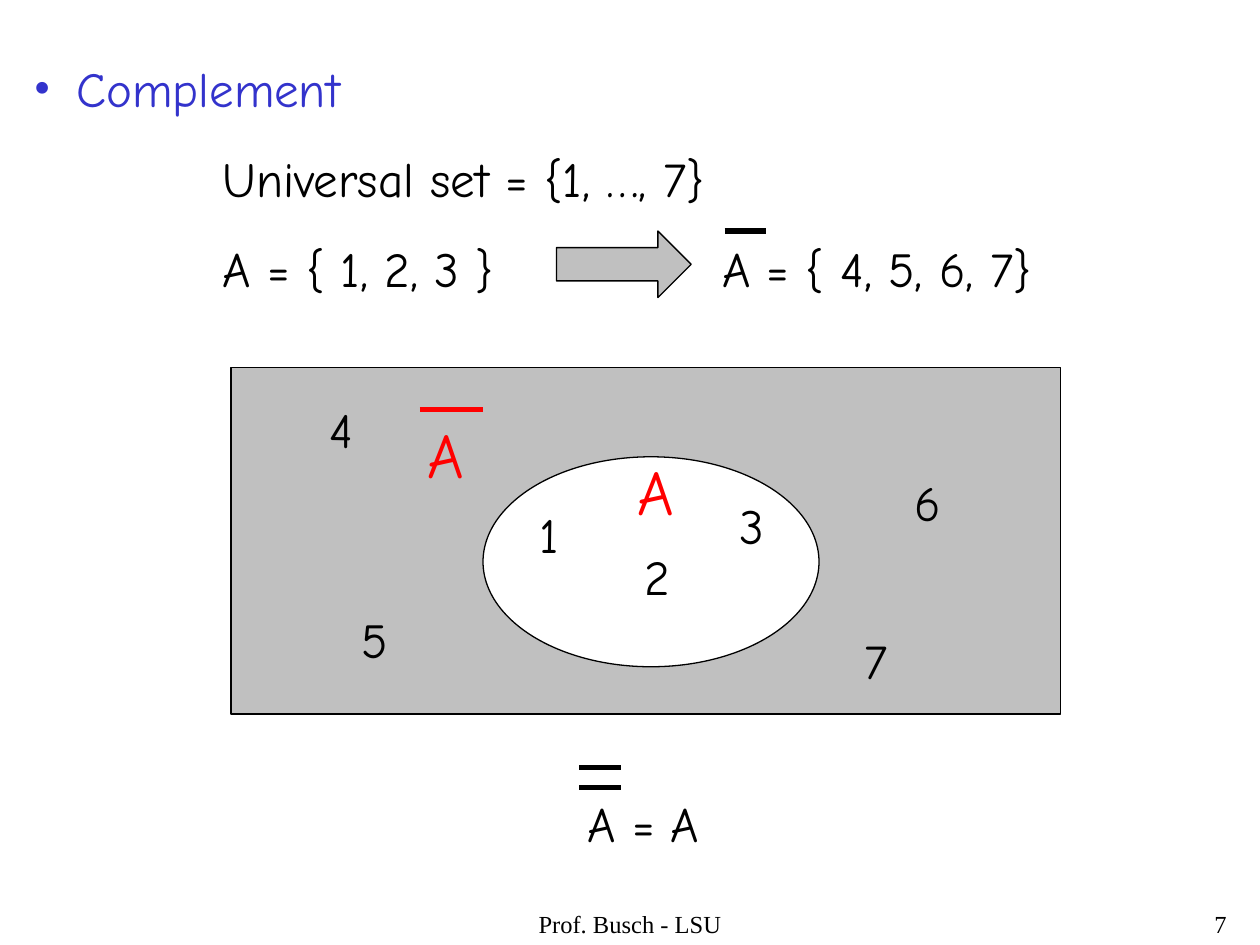
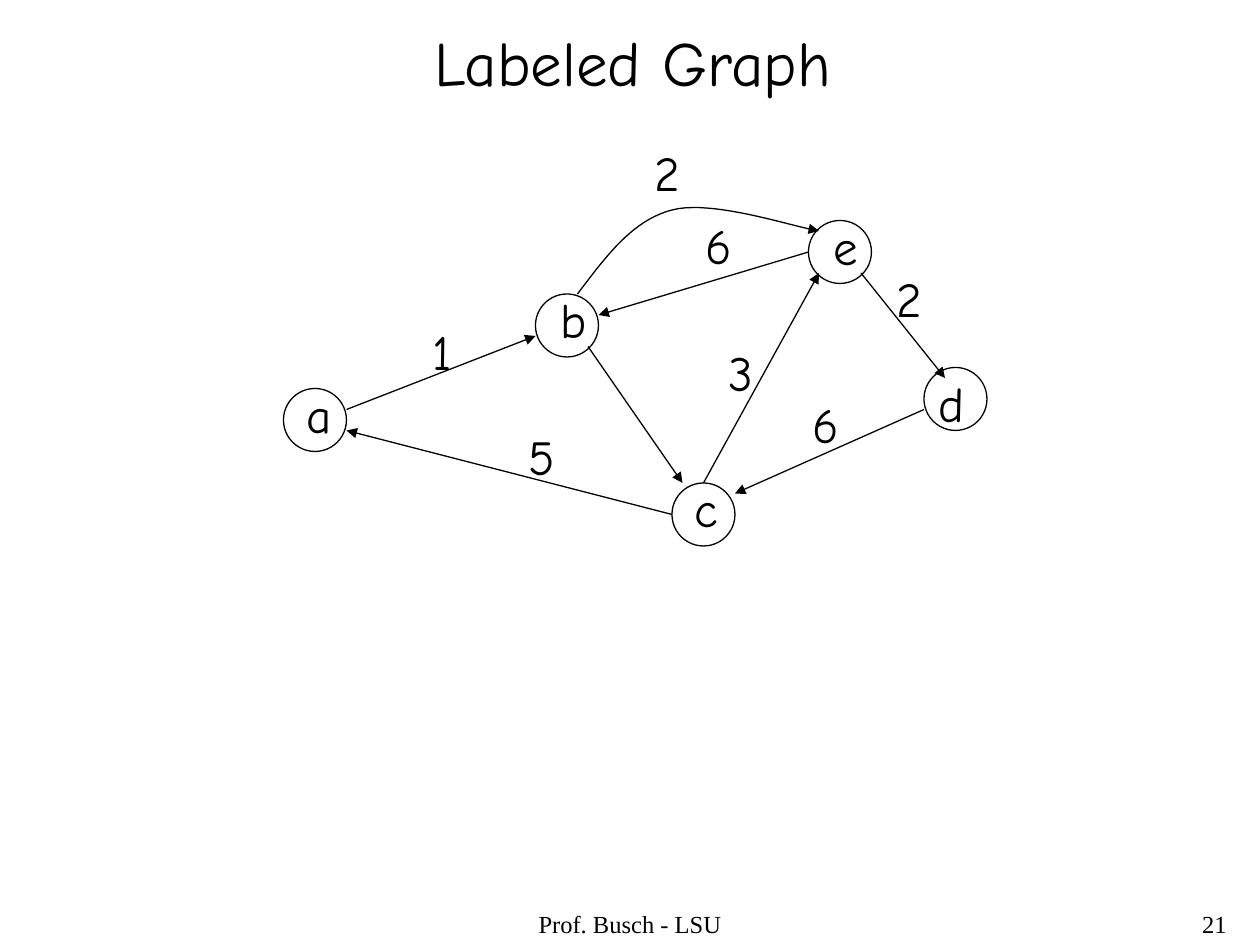
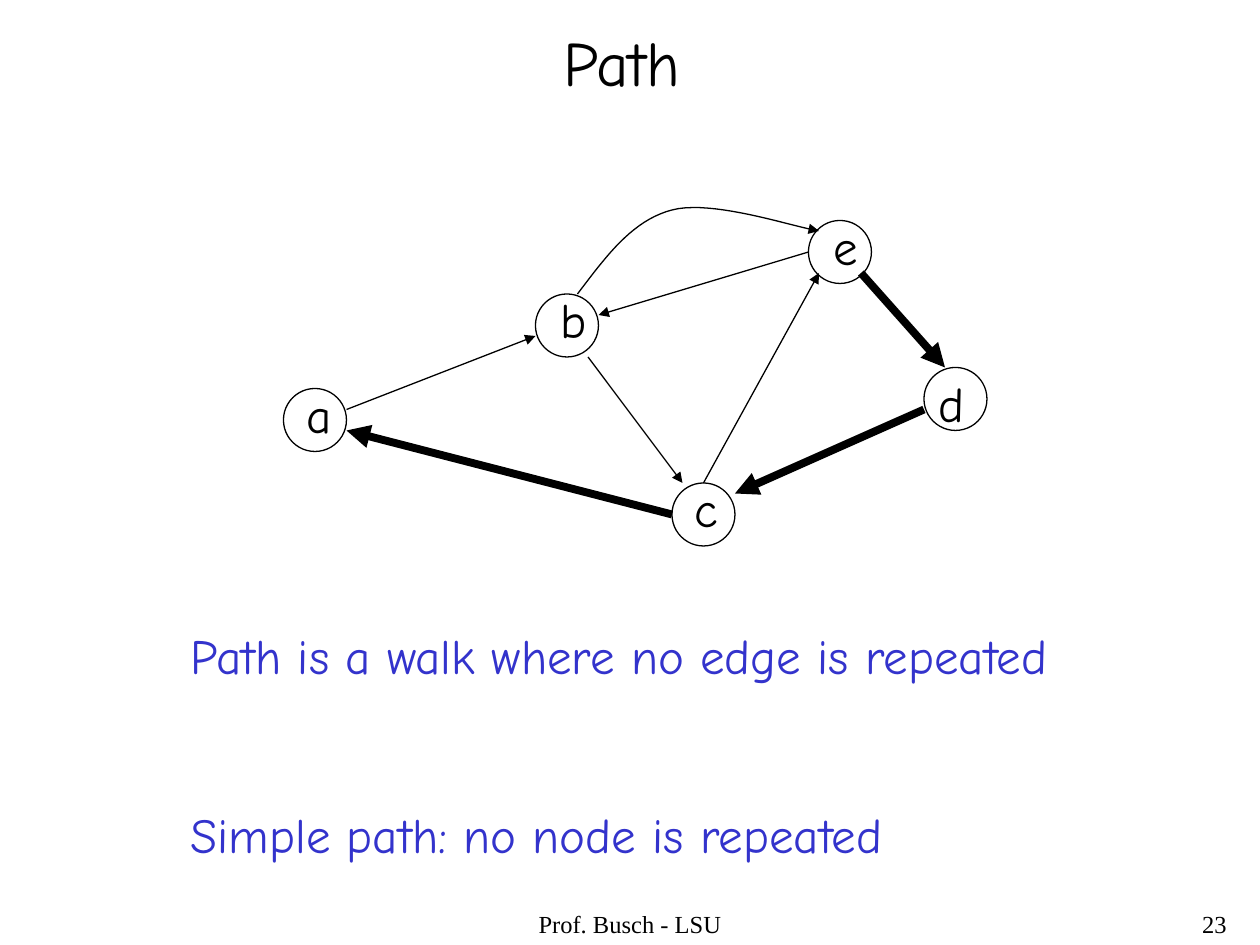
from lxml.etree import SubElement
from pptx import Presentation
from pptx.dml.color import RGBColor
from pptx.enum.shapes import MSO_CONNECTOR, MSO_SHAPE
from pptx.enum.text import MSO_ANCHOR, MSO_AUTO_SIZE, PP_ALIGN
from pptx.oxml.ns import qn
from pptx.util import Pt

BLACK, WHITE, GREY, RED, BLUE = "000000", "FFFFFF", "C0C0C0", "FF0000", "3333CC"
HAND, SERIF = "Comic Neue", "Times New Roman"
BODY_SIZE, LARGE_SIZE, FOOTER_SIZE = 28, 36, 14
THIN, BAR, THICK = 0.75, 3, 4.5


def write(box, lines, size=BODY_SIZE, colour=BLACK, font=HAND,
          align=PP_ALIGN.LEFT, wrap=True, gap=17.5):
    """Fill a text box or title with one paragraph per line, gap points apart."""
    frame = box.text_frame
    frame.word_wrap = wrap
    frame.auto_size = MSO_AUTO_SIZE.NONE
    frame.vertical_anchor = MSO_ANCHOR.TOP
    for index, line in enumerate(lines):
        para = frame.add_paragraph() if index else frame.paragraphs[0]
        para.alignment = align
        para.space_before = Pt(gap if index else 0)
        span = para.add_run()
        span.text = line
        for name, value in {"name": font, "size": Pt(size)}.items():
            setattr(span.font, name, value)
        span.font.color.rgb = RGBColor.from_string(colour)


def outline(shape, colour=BLACK, width=THIN, arrow=False):
    """Draw the line of a shape or connector without a shadow."""
    shape.line.color.rgb = RGBColor.from_string(colour)
    shape.line.width = Pt(width)
    properties = shape.element.spPr
    if arrow:
        SubElement(properties.find(qn("a:ln")), qn("a:tailEnd"), type="triangle")
    SubElement(properties, qn("a:effectLst"))


deck = Presentation()
deck.slide_width, deck.slide_height = Pt(720), Pt(540)

# Titles and footers: number, title, title box, title format
title_format = {"size": LARGE_SIZE, "align": PP_ALIGN.CENTER, "wrap": False}
outlines = [
    (7, "Complement", (12, 30, 696, 42), {"colour": BLUE}),
    (21, "Labeled Graph", (240.5, 10, 242, 50), title_format),
    (23, "Path", (314, 10, 83, 50), title_format),
]
pages = []
for number, title, place, text_format in outlines:
    page = deck.slides.add_slide(deck.slide_layouts[5])
    heading = page.shapes.title
    heading.left, heading.top, heading.width, heading.height = map(Pt, place)
    write(heading, [title], **text_format)
    for text, left, width, align in [
        ("Prof. Busch - LSU", 246, 228, PP_ALIGN.CENTER),
        (str(number), 558, 150, PP_ALIGN.RIGHT),
    ]:
        footer = page.shapes.add_textbox(Pt(left), Pt(516), Pt(width), Pt(24))
        write(footer, [text], FOOTER_SIZE, font=SERIF, align=align)
    pages.append(page)
complement_page, labeled_page, path_page = pages

# Complement: bulleted title
bullet = complement_page.shapes.title.text_frame.paragraphs[0]._p.get_or_add_pPr()
bullet.set("marL", str(Pt(24.5)))
bullet.set("indent", str(-Pt(24.5)))
bullet_colour = SubElement(bullet, qn("a:buClr"))
SubElement(bullet_colour, qn("a:srgbClr"), val=BLUE)
SubElement(bullet, qn("a:buFont"), typeface=SERIF)
SubElement(bullet, qn("a:buChar"), char="•")

# Complement: sets and Venn diagram
for kind, fill, place in [
    (MSO_SHAPE.RECTANGLE, GREY, (132, 210, 474, 198)),
    (MSO_SHAPE.OVAL, WHITE, (276, 261, 192, 120)),
    (MSO_SHAPE.RIGHT_ARROW, GREY, (318, 132, 77, 38)),
]:
    shape = complement_page.shapes.add_shape(kind, *map(Pt, place))
    shape.fill.solid()
    shape.fill.fore_color.rgb = RGBColor.from_string(fill)
    outline(shape)

sets = complement_page.shapes.add_textbox(Pt(120), Pt(81.4), Pt(588), Pt(92))
write(sets, ["Universal set = {1, …, 7}", "A = { 1, 2, 3 }\tA = { 4, 5, 6, 7}"])
tabs = SubElement(sets.text_frame.paragraphs[1]._p.get_or_add_pPr(), qn("a:tabLst"))
SubElement(tabs, qn("a:tab"), pos=str(Pt(285.5)), algn="l")

for member, left, top in [
    ("1", 301, 285), ("2", 361.5, 309), ("3", 415.5, 279.5), ("4", 181, 225),
    ("5", 199.5, 345), ("6", 515.5, 266.5), ("7", 487, 356.5),
]:
    box = complement_page.shapes.add_textbox(Pt(left), Pt(top), Pt(30), Pt(41))
    write(box, [member])
for left, top in [(237, 234), (357, 255)]:
    box = complement_page.shapes.add_textbox(Pt(left), Pt(top), Pt(35), Pt(50))
    write(box, ["A"], LARGE_SIZE, RED, align=PP_ALIGN.CENTER)
identity = complement_page.shapes.add_textbox(Pt(328.5), Pt(450), Pt(90), Pt(41))
write(identity, ["A = A"])

for left, top, length, colour in [
    (414, 132, 24, BLACK), (240, 234, 36, RED),
    (331, 450, 24, BLACK), (331, 438.5, 24, BLACK),
]:
    overbar = complement_page.shapes.add_connector(
        MSO_CONNECTOR.STRAIGHT, Pt(left), Pt(top), Pt(left + length), Pt(top))
    outline(overbar, colour, BAR)

# Graph shared by the two graph pages: circle corner and label corner of each node
nodes = {
    "a": ((162, 222), (168, 216)),
    "b": ((306, 168), (313, 162)),
    "c": ((384, 276), (390, 270)),
    "d": ((528, 210), (529, 210)),
    "e": ((462, 126), (469, 120)),
}
edges = {
    "ab": (198, 234, 306, 192),
    "bc": (336, 198, 390, 276),
    "ce": (402, 276, 468, 156),
    "dc": (528, 234, 420, 282),
    "ca": (384, 294, 198, 246),
    "ed": (492, 156, 540, 216),
    "eb": (462, 144, 342, 180),
}
path_edges = edges | {"bc": (336, 204, 390, 276), "ed": (492, 156, 540, 210)}

# Curved edge from b to e: two cubic Bézier pieces
curve_pieces = [
    [(330, 168), (346, 147), (361, 126), (384, 120)],
    [(384, 120), (407, 114), (451, 129), (468, 132)],
]
steps = 20
curve_points = []
for piece in curve_pieces:
    for step in range(1, steps + 1):
        t = step / steps
        weights = ((1 - t) ** 3, 3 * t * (1 - t) ** 2, 3 * t ** 2 * (1 - t), t ** 3)
        curve_points.append(tuple(
            Pt(sum(weight * point[axis] for weight, point in zip(weights, piece)))
            for axis in (0, 1)))

for page, page_edges, walk in [
    (labeled_page, edges, ()),
    (path_page, path_edges, ("ed", "dc", "ca")),
]:
    for name, (corner, label_corner) in nodes.items():
        circle = page.shapes.add_shape(MSO_SHAPE.OVAL, *map(Pt, (*corner, 36, 36)))
        circle.fill.background()
        outline(circle)
        label = page.shapes.add_textbox(*map(Pt, (*label_corner, 30, 41)))
        write(label, [name])
    for name, ends in page_edges.items():
        edge = page.shapes.add_connector(MSO_CONNECTOR.STRAIGHT, *map(Pt, ends))
        outline(edge, width=THICK if name in walk else THIN, arrow=True)
    builder = page.shapes.build_freeform(*map(Pt, curve_pieces[0][0]))
    builder.add_line_segments(curve_points, close=False)
    curve = builder.convert_to_shape()
    curve.fill.background()
    outline(curve, arrow=True)

# Labeled Graph: edge labels
for edge_label, left, top in [
    ("1", 240, 180), ("3", 409.5, 192), ("5", 295, 240), ("6", 457, 222),
    ("2", 505.5, 150), ("6", 396, 119.5), ("2", 367, 78),
]:
    box = labeled_page.shapes.add_textbox(Pt(left), Pt(top), Pt(30), Pt(41))
    write(box, [edge_label])

# Path: definitions
definitions = path_page.shapes.add_textbox(Pt(102), Pt(354), Pt(540), Pt(143))
write(definitions,
      ["Path is a walk where no edge is repeated", "Simple path: no node is repeated"],
      colour=BLUE, gap=68.6)

deck.save("out.pptx")
